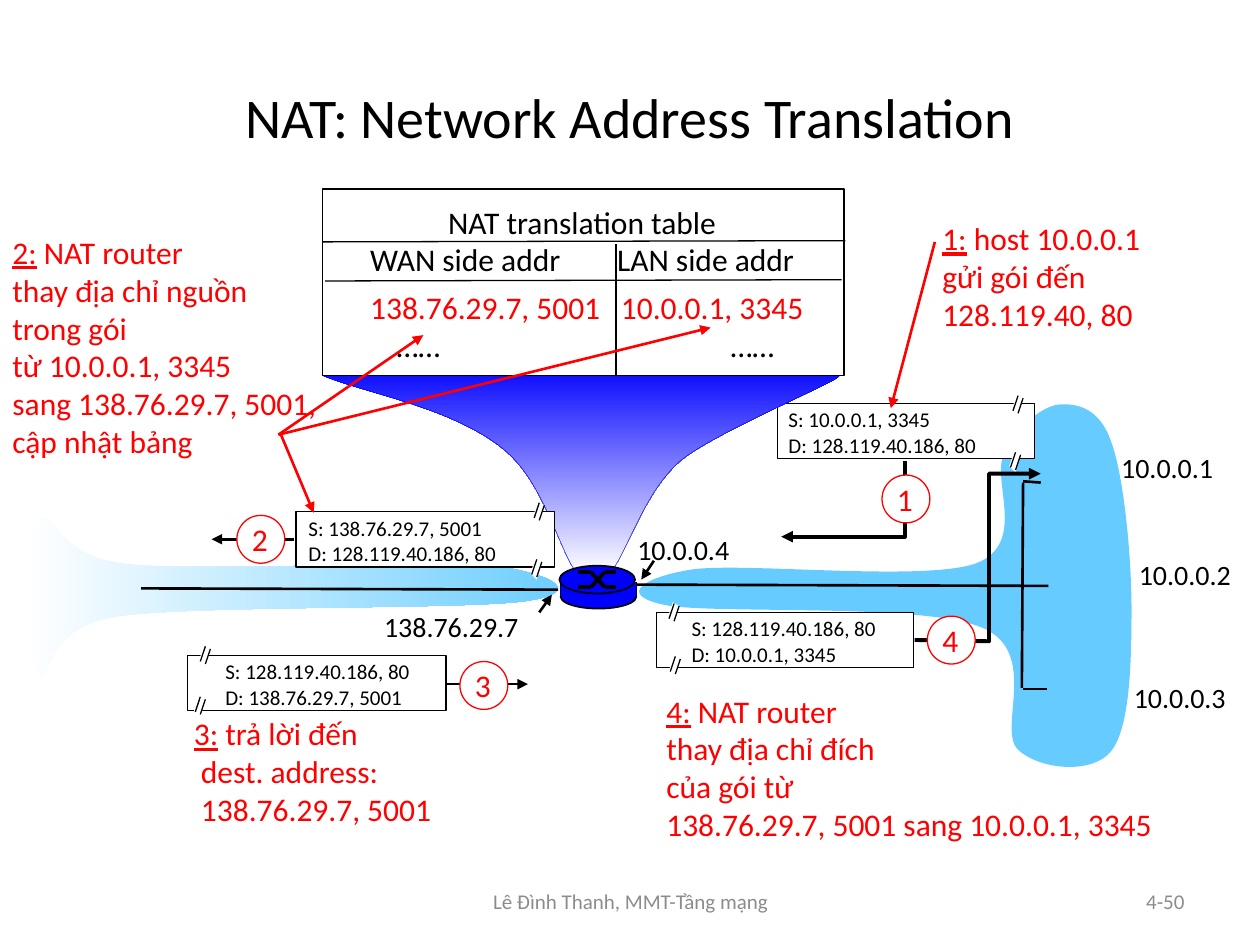
from lxml.etree import SubElement
from pptx import Presentation
from pptx.dml.color import RGBColor
from pptx.enum.shapes import MSO_CONNECTOR, MSO_SHAPE as SHAPE
from pptx.enum.text import MSO_ANCHOR as ANCHOR, MSO_AUTO_SIZE as AUTO_SIZE, PP_ALIGN as ALIGN
from pptx.oxml.ns import qn
from pptx.util import Inches, Pt

BLACK, WHITE, RED, BLUE, SKY, GRAY = "000000", "FFFFFF", "FF0000", "0000FF", "66CCFF", "8C8C8C"

LEFT_CLOUD = [(3.92, 4.49),
              (3.39, 4.44, 1.62, 4.54, 1.02, 4.48), (0.42, 4.43, 0.43, 3.99, 0.31, 4.14),
              (0.2, 4.28, 0.21, 5.22, 0.31, 5.35), (0.42, 5.48, 0.29, 4.99, 0.93, 4.89),
              (1.58, 4.8, 3.68, 4.84, 4.17, 4.77), (4.67, 4.7, 4.36, 4.55, 3.92, 4.49)]
RIGHT_CLOUD = [(5.49, 4.52),
               (5.91, 4.46, 7.34, 4.62, 7.75, 4.47), (8.16, 4.31, 7.86, 3.81, 7.97, 3.6),
               (8.07, 3.39, 8.27, 3.22, 8.41, 3.21), (8.55, 3.2, 8.73, 3.24, 8.82, 3.51),
               (8.92, 3.78, 8.98, 4.42, 8.98, 4.83), (8.98, 5.24, 8.97, 5.77, 8.82, 5.96),
               (8.67, 6.15, 8.25, 6.11, 8.08, 5.95), (7.91, 5.79, 8.26, 5.17, 7.79, 4.98),
               (7.32, 4.78, 5.65, 4.88, 5.27, 4.8), (4.89, 4.72, 5.11, 4.58, 5.49, 4.52)]
FUNNEL = [(2.56, 2.98),
          (2.56, 2.98, 6.17, 2.87, 6.65, 2.98), (6.79, 2.97, 5.71, 3.41, 5.41, 3.65),
          (5.11, 3.9, 4.97, 4.41, 4.84, 4.55), (4.58, 4.55),
          (4.44, 4.38, 4.32, 3.82, 3.99, 3.56), (3.58, 3.23, 2.89, 3.12, 2.56, 2.98)]


def rgb(color):
    """Turn a hex string into a colour."""
    return RGBColor.from_string(color)


def set_font(paragraph, size, color):
    """Set the face, size and colour of a paragraph."""
    font = paragraph.font
    font.name, font.size = "Calibri", Pt(size)
    font.color.rgb = rgb(color)


def add_text(parent, at, lines, size, color=BLACK, align=ALIGN.LEFT, wrap=False, label=None,
             tabs=(), anchor=ANCHOR.TOP):
    """Add a text box, with an underlined label ahead of its first line if given."""
    box = parent.shapes.add_textbox(*map(Inches, at))
    frame = box.text_frame
    frame.word_wrap, frame.vertical_anchor = wrap, anchor
    frame.auto_size = AUTO_SIZE.NONE if anchor == ANCHOR.MIDDLE else AUTO_SIZE.SHAPE_TO_FIT_TEXT
    for index, line in enumerate(lines):
        paragraph = frame.paragraphs[0] if index == 0 else frame.add_paragraph()
        paragraph.alignment = align
        if "\t" in line:
            paragraph.alignment = ALIGN.LEFT
            stops = SubElement(paragraph._p.get_or_add_pPr(), qn("a:tabLst"))
            for stop in tabs[index]:
                SubElement(stops, qn("a:tab"), pos=str(Inches(stop)), algn="l")
        if label and index == 0:
            run = paragraph.add_run()
            run.text, run.font.underline = label, True
        paragraph.add_run().text = line
        set_font(paragraph, size, color)
    return box


def style(shape, fill, line, width):
    """Give a shape its fill (none, plain or a pair for a gradient) and outline."""
    shape.shadow.inherit = False
    if fill is None:
        shape.fill.background()
    elif isinstance(fill, tuple):
        shape.fill.gradient()
        for stop, color in zip(shape.fill.gradient_stops, fill):
            stop.color.rgb = rgb(color)
    else:
        shape.fill.solid()
        shape.fill.fore_color.rgb = rgb(fill)
    if line is None:
        shape.line.fill.background()
    else:
        shape.line.color.rgb = rgb(line)
        shape.line.width = Pt(width)
    return shape


def add_preset(parent, kind, at, fill=WHITE, line=BLACK, width=0.75):
    """Add a preset shape."""
    return style(parent.shapes.add_shape(kind, *map(Inches, at)), fill, line, width)


def add_arrowhead(shape):
    """Put a triangle at the end of a line."""
    SubElement(shape._element.spPr.find(qn("a:ln")), qn("a:tailEnd"), type="triangle")


def add_line(parent, start, end, color=BLACK, width=1.5, arrow=False):
    """Add a straight line, with an arrowhead at its end if wanted."""
    line = parent.shapes.add_connector(MSO_CONNECTOR.STRAIGHT, *map(Inches, start + end))
    line.line.color.rgb = rgb(color)
    line.line.width = Pt(width)
    if arrow:
        add_arrowhead(line)
    SubElement(line._element.spPr, qn("a:effectLst"))


def bend(shape, segments):
    """Join each three lines that stand for a cubic segment into one curve."""
    sides = iter(list(shape._element.iter(qn("a:lnTo"))))
    for segment in segments:
        parts = [next(sides) for _ in range(len(segment) // 2)]
        if len(parts) == 3:
            curve = parts[0].makeelement(qn("a:cubicBezTo"))
            parts[0].addprevious(curve)
            for part in parts:
                curve.append(part[0])
                part.getparent().remove(part)


def add_outline(parent, outline, fill=None, line=None, width=1, close=True):
    """Add a free outline of straight and cubic segments."""
    points = [(Inches(x), Inches(y)) for segment in outline
              for x, y in zip(segment[::2], segment[1::2])]
    builder = parent.shapes.build_freeform(*points[0])
    builder.add_line_segments(points[1:], close=close)
    shape = builder.convert_to_shape()
    bend(shape, outline[1:])
    return style(shape, fill, line, width)


def add_break(parent, x, y):
    """Add the double slash that cuts a packet border."""
    add_outline(parent, [(x + dx, y + dy) for dx, dy in
                         ((0.04, 0), (0, 0.12), (0.05, 0.17), (0.09, 0.03))], WHITE)
    for dx, dy in ((0.01, 0.13), (0.05, 0.15)):
        add_line(parent, (x + dx + 0.04, y + dy - 0.12), (x + dx, y + dy), width=0.75)


def add_packet(parent, left, top, text_left, source, target, breaks, width=2.04):
    """Add a packet with its source and destination address."""
    add_preset(parent, SHAPE.RECTANGLE, (left, top, width, 0.44))
    add_text(parent, (text_left, top - 0.02, width - 0.11, 0.5),
             [f"S: {source}", f"D: {target}"], 12, wrap=True)
    for x, y in breaks:
        add_break(parent, x, y)


def add_badge(parent, left, top, number):
    """Add a numbered red circle."""
    add_preset(parent, SHAPE.OVAL, (left, top, 0.38, 0.38), line=RED)
    add_text(parent, (left + 0.02, top - 0.01, 0.35, 0.4), [number], 18, RED)


def add_path(parent, points):
    """Add a bent black arrow."""
    add_arrowhead(add_outline(parent, points, line=BLACK, width=2.25, close=False))


def add_router(parent):
    """Add the router drum with its crossed lanes."""
    add_preset(parent, SHAPE.OVAL, (4.45, 4.64, 0.6, 0.19), BLUE, width=1)
    for x in (4.45, 5.05):
        add_line(parent, (x, 4.62), (x, 4.74), width=1)
    add_preset(parent, SHAPE.RECTANGLE, (4.45, 4.62, 0.6, 0.11), BLUE, None)
    add_preset(parent, SHAPE.OVAL, (4.44, 4.49, 0.6, 0.22), BLUE, width=1)
    for start, end in ((4.54, 4.66), (4.66, 4.54)):
        lane = [(4.59, start), (4.69, start), (4.8, end), (4.89, end)]
        for here, there in zip(lane, lane[1:]):
            add_line(parent, here, there, width=2.25)


def add_translation_table(slide):
    """Add the ruled frame and headings of the translation table."""
    add_preset(slide, SHAPE.RECTANGLE, (2.56, 1.5, 4.14, 1.48))
    add_text(slide, (2.47, 1.56, 4.3, 0.7),
             ["NAT translation table", "\tWAN side addr\tLAN side addr"], 18,
             align=ALIGN.CENTER, wrap=True, tabs=((), (0.37, 2.33)))
    for start, end in (((2.56, 1.92), (6.71, 1.91)), ((2.58, 2.23), (6.68, 2.22)),
                       ((4.89, 1.94), (4.89, 2.98))):
        add_line(slide, start, end, width=0.75)


def add_translation_entries(slide):
    """Add the address pair and the dots below it."""
    box = add_text(slide, (2.58, 2.24, 4.14, 0.7),
                   ["\t138.76.29.7, 5001\t10.0.0.1, 3345", "\t……\t……"], 18, RED, wrap=True,
                   tabs=((0.26, 2.25), (0.47, 3.12)))
    set_font(box.text_frame.paragraphs[1], 18, BLACK)


def main():
    """Build the slide and save it."""
    deck = Presentation()
    deck.slide_width, deck.slide_height = Inches(10), Inches(7.5)
    slide = deck.slides.add_slide(deck.slide_layouts[5])
    new_group = slide.shapes.add_group_shape
    title = slide.shapes.title
    title.left, title.top, title.width, title.height = map(Inches, (0.5, 0.3, 9, 1.25))
    title.text_frame.text = "NAT: Network Address Translation"
    title.text_frame.vertical_anchor = ANCHOR.MIDDLE
    title.text_frame.paragraphs[0].alignment = ALIGN.CENTER
    set_font(title.text_frame.paragraphs[0], 32, BLACK)
    for words, left, width, align in (("Lê Đình Thanh, MMT-Tầng mạng", 3.42, 3.17, ALIGN.CENTER),
                                      ("4-50", 7.17, 2.33, ALIGN.RIGHT)):
        add_text(slide, (left, 6.95, width, 0.4), [words], 12, GRAY, align, True,
                 anchor=ANCHOR.MIDDLE)

    add_outline(slide, LEFT_CLOUD, (WHITE, SKY)).fill.gradient_angle = 0
    add_outline(slide, RIGHT_CLOUD, SKY)
    for start, end in (((5.01, 4.64), (8.32, 4.65)), ((8.12, 3.83), (8.11, 5.46)),
                       ((8.12, 3.82), (8.26, 3.83)), ((8.12, 5.47), (8.31, 5.47))):
        add_line(slide, start, end)
    for address, left, top, width in (("10.0.0.1", 8.8, 3.53, 0.98), ("10.0.0.2", 8.94, 4.38, 1.01),
                                      ("10.0.0.3", 8.9, 5.35, 1.01), ("10.0.0.4", 4.96, 4.18, 1.01),
                                      ("138.76.29.7", 2.95, 4.79, 1.42)):
        add_text(slide, (left, top, width, 0.37), [address], 16)
    add_line(slide, (5.19, 4.45), (5.09, 4.6), arrow=True)
    add_line(slide, (4.28, 4.86), (4.38, 4.72), arrow=True)

    host, router, server = "10.0.0.1, 3345", "138.76.29.7, 5001", "128.119.40.186, 80"
    request = new_group()
    add_packet(request, 6.17, 3.2, 6.16, host, server, ((8.03, 3.13), (8.01, 3.58)))
    add_path(request, [(7.18, 3.66), (7.18, 4.26), (6.2, 4.26)])
    add_badge(request, 7, 3.77, "1")
    request_note = new_group()
    add_text(request_note, (7.38, 1.69, 1.85, 1.01),
             [" host 10.0.0.1", "gửi gói đến", "128.119.40, 80"], 18, RED, label="1:")
    add_line(request_note, (7.42, 1.92), (7.07, 3.24), RED, arrow=True)

    add_outline(slide, FUNNEL, (BLUE, WHITE), BLUE, 0.25).fill.gradient_angle = 270
    add_translation_table(slide)
    add_router(new_group())
    add_translation_entries(slide)

    delivery = new_group()
    add_packet(delivery, 5.21, 4.86, 5.39, server, host, ((5.3, 4.78), (5.31, 5.2)))
    add_path(delivery, [(7.26, 5.08), (7.85, 5.09), (7.85, 3.76), (8.26, 3.76)])
    add_badge(delivery, 7.36, 4.89, "4")

    outgoing = new_group()
    add_packet(outgoing, 2.35, 4.06, 2.35, router, server, ((4.23, 3.98), (4.21, 4.43)), 2.05)
    add_line(outgoing, (2.33, 4.28), (1.68, 4.28), arrow=True)
    add_badge(outgoing, 1.88, 4.09, "2")
    outgoing_note = new_group()
    add_text(outgoing_note, (0, 1.8, 2.64, 1.92),
             [" NAT router", "thay địa chỉ nguồn", "trong gói", "từ 10.0.0.1, 3345",
              "sang 138.76.29.7, 5001,", "cập nhật bảng"], 18, RED, label="2:")
    for start, end in (((2.23, 3.45), (2.49, 4.07)), ((2.21, 3.45), (3.36, 2.66)),
                       ((2.21, 3.45), (5.64, 2.6))):
        add_line(outgoing_note, start, end, RED, arrow=True)

    reply = new_group()
    add_packet(reply, 1.49, 5.2, 1.69, server, router, ((1.58, 5.12), (1.54, 5.52)), 2.05)
    add_line(reply, (3.54, 5.43), (4.19, 5.43), arrow=True)
    add_badge(reply, 3.65, 5.25, "3")
    add_text(slide, (1.44, 5.62, 2.38, 1.01),
             [" trả lời đến", " dest. address:", " 138.76.29.7, 5001"], 18, RED, label="3:")
    add_text(slide, (5.19, 5.44, 4.16, 1.62),
             [" NAT router", "thay địa chỉ đích", "của gói từ",
              "138.76.29.7, 5001 sang 10.0.0.1, 3345"], 18, RED, label="4:")
    add_line(slide, (1.12, 4.67), (4.43, 4.68))
    deck.save("out.pptx")


if __name__ == "__main__":
    main()
